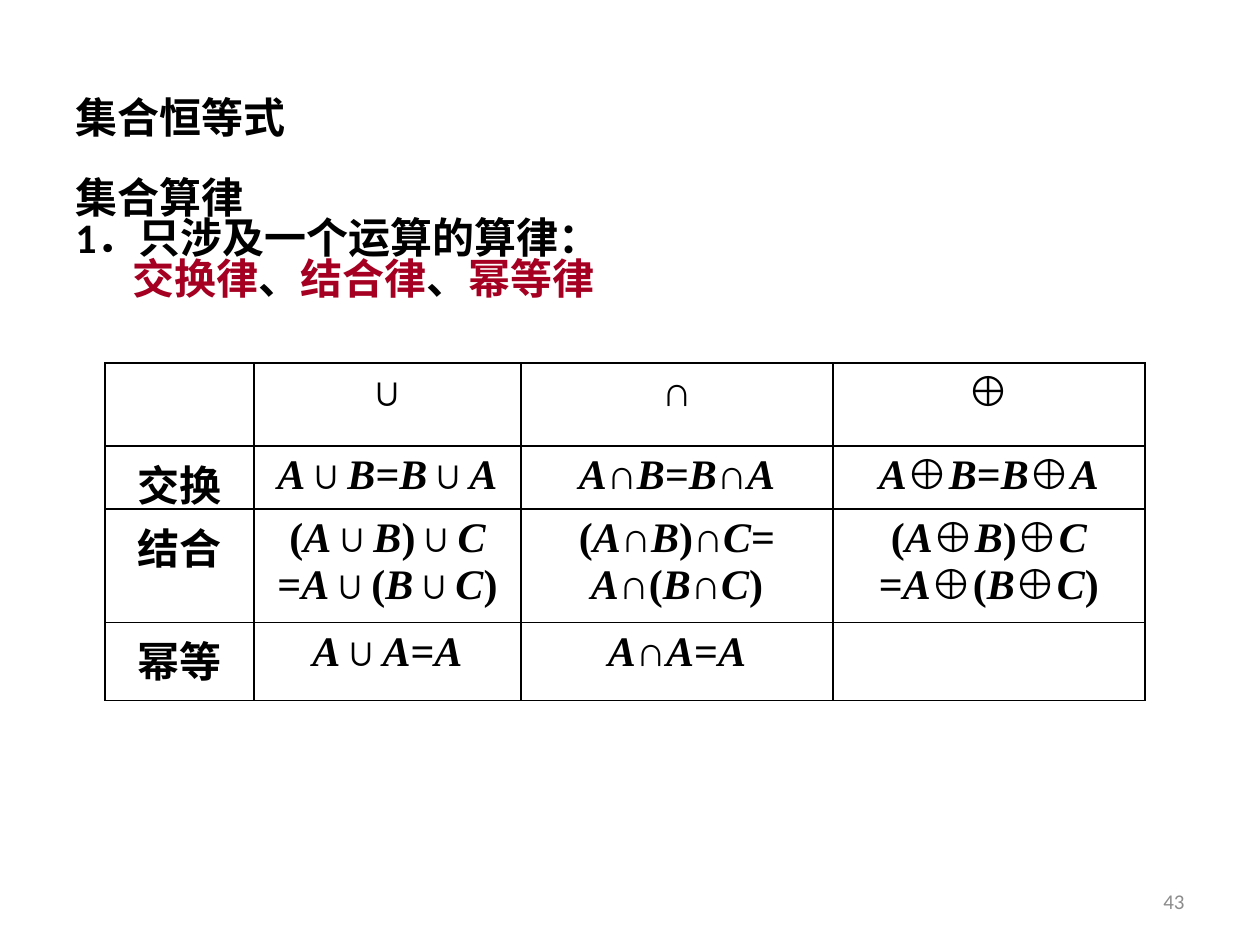
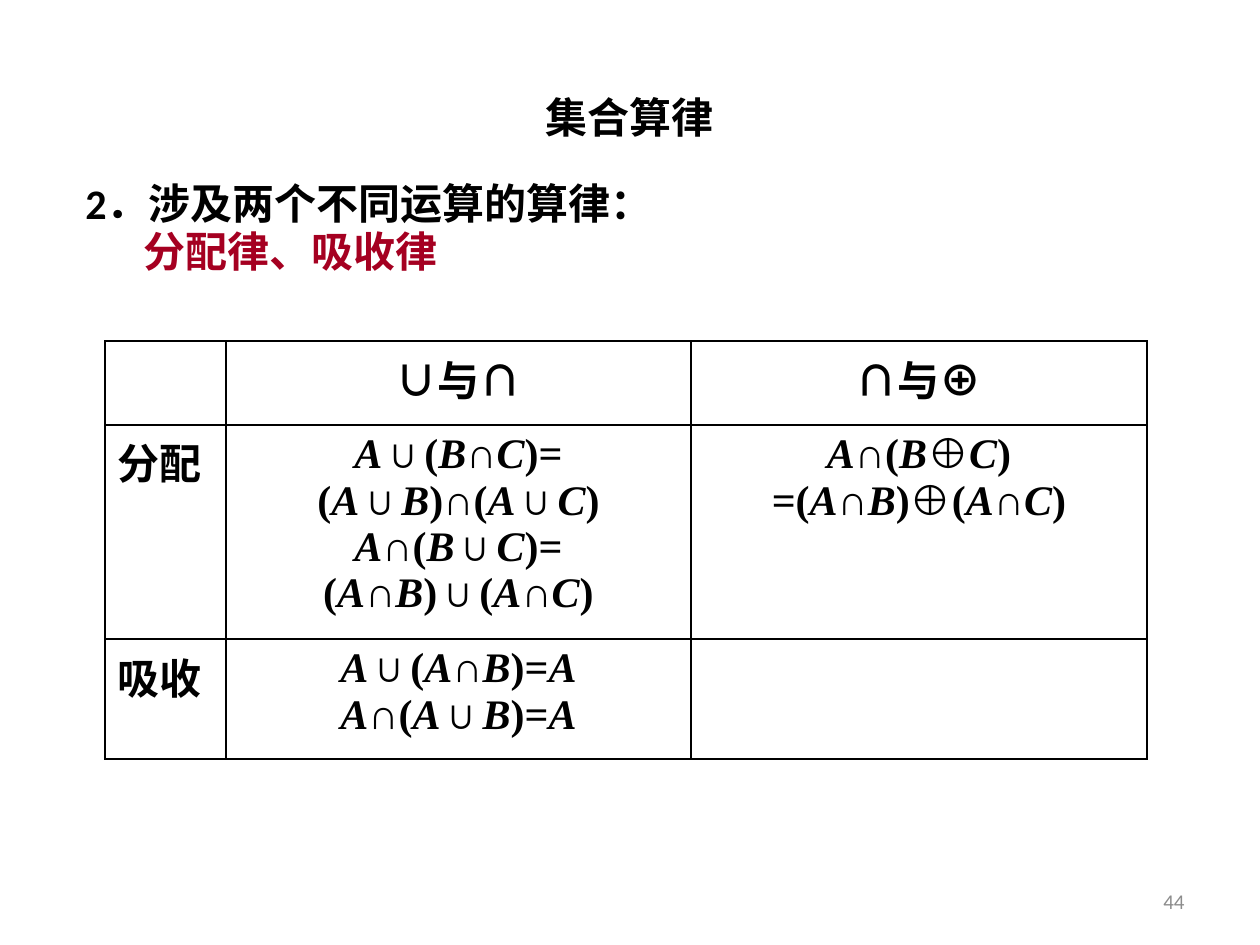
import dataclasses
import itertools

import lxml.etree
import pptx
import pptx.dml.color
import pptx.enum.text
import pptx.oxml
import pptx.oxml.ns
import pptx.util

PX = pptx.util.Inches(1) / 126
ALIGN = pptx.enum.text.PP_ALIGN
ANCHOR = pptx.enum.text.MSO_ANCHOR
TITLE_ONLY = 5
MARGIN, CONTENT_WIDTH = 63, 1134
TABLE_LEFT = 105


@dataclasses.dataclass(frozen=True)
class Theme:
    ink: str = "000000"
    accent: str = "A50021"
    muted: str = "8C8C8C"
    body_font: str = "Calibri"
    math_font: str = "Times New Roman"
    chinese_font: str = "Noto Sans CJK SC"
    body_size: int = 24
    number_size: int = 12
    border_width: int = 1


THEME = Theme()


def emu(px):
    return pptx.util.Emu(round(px * PX))


def write(para, text, *, font=THEME.body_font, size=THEME.body_size,
          color=THEME.ink, bold=True, italic=False):
    """Add one formatted span, with the Chinese font for East Asian letters."""
    span = para.add_run()
    span.text = text
    span.font.name = font
    span.font.size = pptx.util.Pt(size)
    span.font.bold = bold
    span.font.italic = italic
    span.font.color.rgb = pptx.dml.color.RGBColor.from_string(color)
    east_asian = pptx.oxml.ns.qn("a:ea")
    latin = span.font._element.find(pptx.oxml.ns.qn("a:latin"))
    latin.addnext(latin.makeelement(east_asian, {"typeface": THEME.chinese_font}))


def write_formula(para, formula):
    """Set the names are italic; operators and brackets are upright."""
    for is_set, letters in itertools.groupby(formula, key=lambda sign: sign in "ABC"):
        write(para, "".join(letters), font=THEME.math_font, italic=is_set)


def add_box(page, left, top, width, height):
    box = page.shapes.add_textbox(emu(left), emu(top), emu(width), emu(height))
    box.text_frame.word_wrap = True
    return box.text_frame


def add_paras(frame, count):
    return [frame.paragraphs[0]] + [frame.add_paragraph() for _ in range(count - 1)]


def add_page(deck, title, number, title_align):
    page = deck.slides.add_slide(deck.slide_layouts[TITLE_ONLY])
    heading = page.shapes.title
    heading.left, heading.top = emu(MARGIN), emu(38)
    heading.width, heading.height = emu(CONTENT_WIDTH), emu(157)
    heading.text_frame.vertical_anchor = ANCHOR.MIDDLE
    para = heading.text_frame.paragraphs[0]
    para.alignment = title_align
    write(para, title)

    frame = add_box(page, 903, 876, 294, 50)
    frame.vertical_anchor = ANCHOR.MIDDLE
    para = frame.paragraphs[0]
    para.alignment = ALIGN.RIGHT
    write(para, str(number), size=THEME.number_size, color=THEME.muted, bold=False)
    return page


def add_body(page, height, line_spacing, lines):
    """Each line is an indent in px and a list of (text, color) spans."""
    frame = add_box(page, MARGIN, 175, CONTENT_WIDTH, height)
    for para, (indent, spans) in zip(add_paras(frame, len(lines)), lines):
        para.line_spacing = line_spacing
        para._p.get_or_add_pPr().set("marL", str(emu(indent)))
        for text, color in spans:
            write(para, text, color=color)


def outline_cell(cell):
    cell.fill.background()
    properties = cell._tc.get_or_add_tcPr()
    for place, side in enumerate(("lnL", "lnR", "lnT", "lnB")):
        line = lxml.etree.Element(pptx.oxml.ns.qn(f"a:{side}"),
                                  w=str(pptx.util.Pt(THEME.border_width)))
        fill = lxml.etree.SubElement(line, pptx.oxml.ns.qn("a:solidFill"))
        lxml.etree.SubElement(fill, pptx.oxml.ns.qn("a:srgbClr"), val=THEME.ink)
        properties.insert(place, line)


def add_law_table(page, top, widths, heights, rows, label_align):
    """Draw the laws; a line break in a cell starts a new paragraph."""
    table = page.shapes.add_table(
        len(heights), len(widths), emu(TABLE_LEFT), emu(top),
        emu(sum(widths)), emu(sum(heights))).table
    table.first_row = table.horz_banding = False
    for column, width in zip(table.columns, widths):
        column.width = emu(width)
    for row, height in zip(table.rows, heights):
        row.height = emu(height)
    for row_index, row in enumerate(rows):
        for column_index, text in enumerate(row):
            cell = table.cell(row_index, column_index)
            outline_cell(cell)
            if not text:
                continue
            formulas = text.split("\n")
            for para, formula in zip(add_paras(cell.text_frame, len(formulas)), formulas):
                para.alignment = ALIGN.CENTER if column_index else label_align
                write_formula(para, formula)


def add_single_operation_page(deck):
    page = add_page(deck, "集合恒等式", 43, ALIGN.LEFT)
    add_body(page, 159, 0.8, [
        (0, [("集合算律", THEME.ink)]),
        (0, [("1．只涉及一个运算的算律：", THEME.ink)]),
        (57, [("交换律", THEME.accent), ("、", THEME.ink), ("结合律", THEME.accent),
              ("、", THEME.ink), ("幂等律", THEME.accent)]),
    ])
    add_law_table(page, 363, [149, 267, 312, 312], [83, 63, 113, 78], [
        ["", "∪", "∩", "⊕"],
        ["交换", "A∪B=B∪A", "A∩B=B∩A", "A⊕B=B⊕A"],
        ["结合", "(A∪B)∪C\n=A∪(B∪C)", "(A∩B)∩C=\nA∩(B∩C)", "(A⊕B)⊕C\n=A⊕(B⊕C)"],
        ["幂等", "A∪A=A", "A∩A=A", ""],
    ], ALIGN.CENTER)


def add_two_operations_page(deck):
    page = add_page(deck, "集合算律", 44, ALIGN.CENTER)
    add_body(page, 129, 0.95, [
        (10, [("2．涉及两个不同运算的算律：", THEME.ink)]),
        (68, [("分配律、吸收律", THEME.accent)]),
    ])
    add_law_table(page, 341, [121, 465, 456], [84, 214, 120], [
        ["", "∪与∩", "∩与⊕"],
        ["分配", "A∪(B∩C)=\n(A∪B)∩(A∪C)\nA∩(B∪C)=\n(A∩B)∪(A∩C)",
         "A∩(B⊕C)\n=(A∩B)⊕(A∩C)"],
        ["吸收", "A∪(A∩B)=A\nA∩(A∪B)=A", ""],
    ], ALIGN.LEFT)


def main():
    deck = pptx.Presentation()
    deck.slide_width, deck.slide_height = emu(1260), emu(945)
    add_single_operation_page(deck)
    add_two_operations_page(deck)
    deck.save("out.pptx")


if __name__ == "__main__":
    main()
